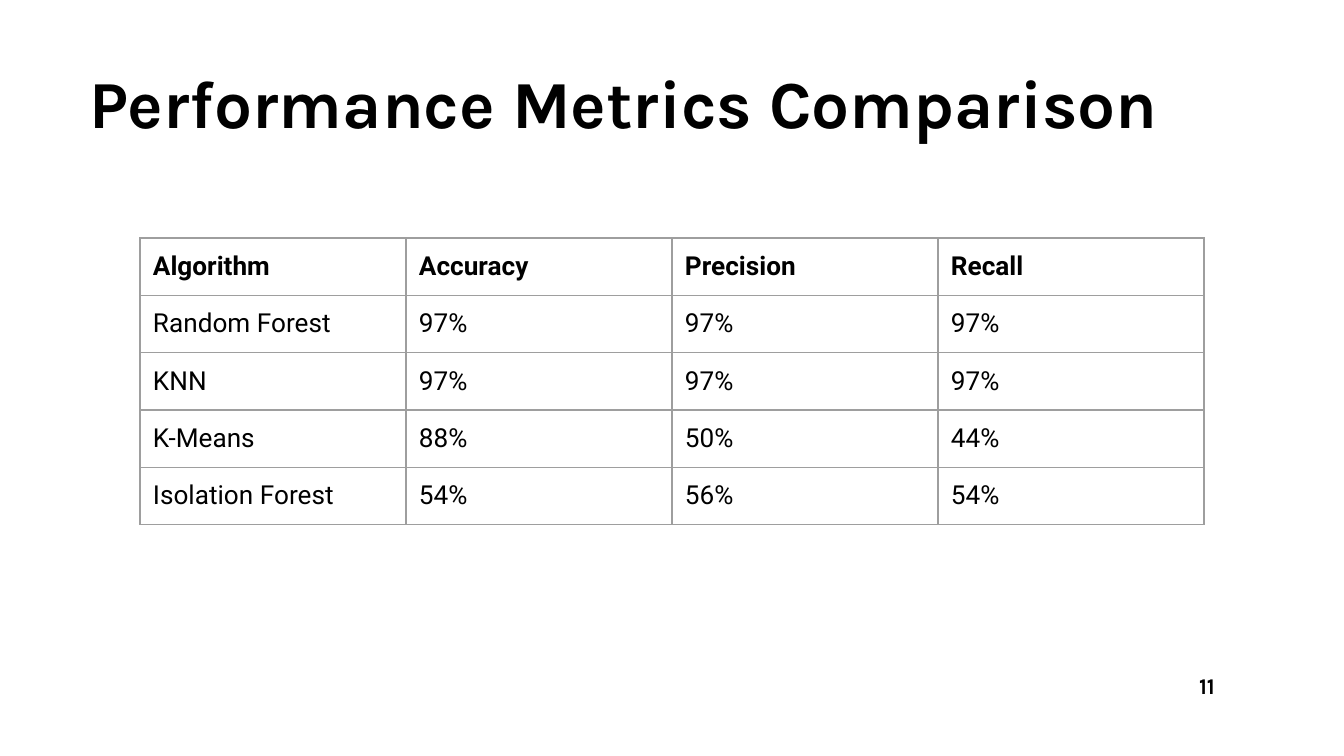
"""Build a slide with a table comparing the metrics of four algorithms."""
from lxml.etree import SubElement
from pptx import Presentation
from pptx.dml.color import RGBColor
from pptx.enum.text import MSO_ANCHOR, MSO_AUTO_SIZE, PP_ALIGN
from pptx.oxml.ns import qn
from pptx.util import Pt

PX = 914400 / 134.4
BLACK = RGBColor(0x00, 0x00, 0x00)
GREY = RGBColor(0x9E, 0x9E, 0x9E)
ROWS = [
    ("Algorithm", "Accuracy", "Precision", "Recall"),
    ("Random Forest", "97%", "97%", "97%"),
    ("KNN", "97%", "97%", "97%"),
    ("K-Means", "88%", "50%", "44%"),
    ("Isolation Forest", "54%", "56%", "54%"),
]
COL_W, ROW_H, PAD = 266, 57, 13


def px(*values):
    return [round(v * PX) for v in values]


def write(tf, text, font, size, bold, align=PP_ALIGN.LEFT):
    tf.text = text
    p = tf.paragraphs[0]
    p.alignment = align
    f = p.runs[0].font
    f.name, f.size, f.bold = font, Pt(size), bold
    f.color.rgb = BLACK


prs = Presentation()
prs.slide_width, prs.slide_height = px(1344, 756)
s = prs.slides.add_slide(prs.slide_layouts[5])

title = s.shapes.title
title.left, title.top, title.width, title.height = px(89, 56, 1232, 92)
tf = title.text_frame
tf.margin_left = tf.margin_right = tf.margin_top = tf.margin_bottom = 0
tf.vertical_anchor = MSO_ANCHOR.MIDDLE
tf.auto_size = MSO_AUTO_SIZE.NONE
write(tf, "Performance Metrics Comparison", "Karla", 36, True)

number = s.shapes.add_textbox(*px(1148, 659, 80, 58))
tf = number.text_frame
tf.word_wrap = True
tf.margin_left, tf.margin_right, tf.margin_top, tf.margin_bottom = px(*[PAD] * 4)
write(tf, "11", "Karla", 12, True, PP_ALIGN.RIGHT)

n_rows, n_cols = len(ROWS), len(ROWS[0])
frame = s.shapes.add_table(n_rows, n_cols, *px(140, 238, COL_W * n_cols, ROW_H * n_rows))
table = frame.table
for i, row in enumerate(ROWS):
    for j, text in enumerate(row):
        cell = table.cell(i, j)
        cell.margin_left, cell.margin_right, cell.margin_top, cell.margin_bottom = px(*[PAD] * 4)
        write(cell.text_frame, text, "Roboto", 14, i == 0)
        tcPr = cell._tc.get_or_add_tcPr()
        for side in ("lnL", "lnR", "lnT", "lnB"):
            ln = SubElement(tcPr, qn(f"a:{side}"), w=str(Pt(0.75)))
            fill = SubElement(ln, qn("a:solidFill"))
            SubElement(fill, qn("a:srgbClr"), val=str(GREY))
        cell.fill.background()

prs.save("out.pptx")
